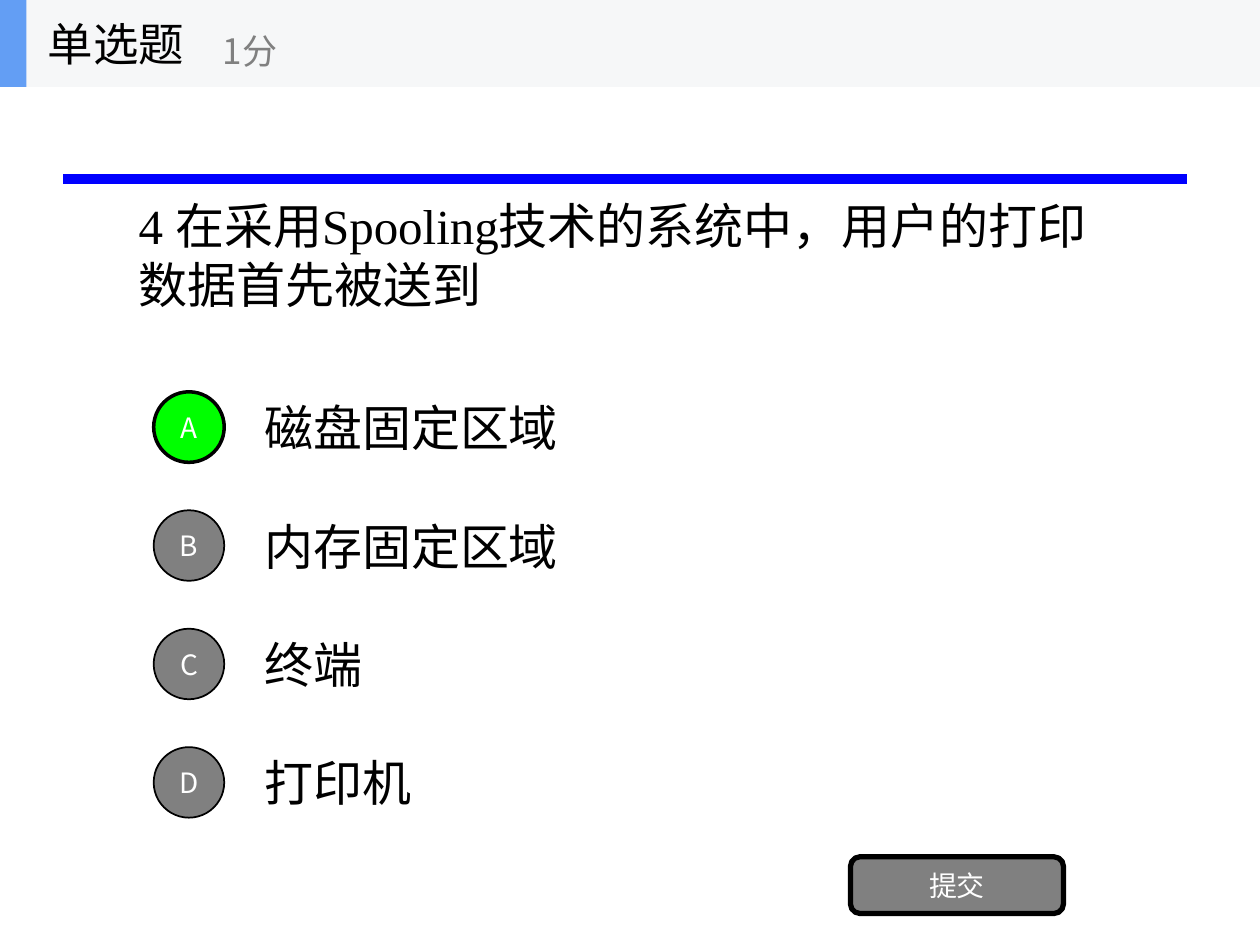
"""Build a single-choice quiz slide with four options and a submit button."""
from lxml.etree import SubElement
from pptx import Presentation
from pptx.dml.color import RGBColor
from pptx.enum.shapes import MSO_CONNECTOR, MSO_SHAPE
from pptx.enum.text import MSO_ANCHOR, MSO_AUTO_SIZE, PP_ALIGN
from pptx.oxml.ns import qn
from pptx.util import Inches, Pt

COLORS = {
    "black": "000000", "white": "FFFFFF", "gray": "808080", "green": "00FF00",
    "blue": "0000FF", "bar": "F6F7F8", "accent": "639EF4",
}
SANS = "Noto Sans CJK SC"
SERIF = "Times New Roman"


def write(shape, text, size, font, color, align=PP_ALIGN.LEFT):
    frame = shape.text_frame
    frame.text = text
    frame.word_wrap = True
    frame.auto_size = MSO_AUTO_SIZE.NONE
    frame.vertical_anchor = MSO_ANCHOR.MIDDLE
    para = frame.paragraphs[0]
    para.alignment = align
    run = para.runs[0]
    run.font.size = Pt(size)
    run.font.name = font
    run.font.color.rgb = RGBColor.from_string(COLORS[color])
    SubElement(run.font._element, qn("a:ea"), typeface=SANS)


def draw(kind, left, top, width, height, fill, line=0):
    shape = slide.shapes.add_shape(
        kind, Inches(left), Inches(top), Inches(width), Inches(height))
    shape.shadow.inherit = False
    shape.fill.solid()
    shape.fill.fore_color.rgb = RGBColor.from_string(COLORS[fill])
    if line:
        shape.line.color.rgb = RGBColor.from_string(COLORS["black"])
        shape.line.width = Pt(line)
    else:
        shape.line.fill.background()
    return shape


prs = Presentation()
prs.slide_width, prs.slide_height = Inches(10), Inches(7.5)
slide = prs.slides.add_slide(prs.slide_layouts[5])

title = slide.shapes.title
title.left, title.top = Inches(1), Inches(0.85)
title.width, title.height = Inches(8), Inches(2.34)
write(title, "4 在采用Spooling技术的系统中，用户的打印数据首先被送到", 28, SERIF, "black")

rule = slide.shapes.add_connector(
    MSO_CONNECTOR.STRAIGHT, Inches(0.5), Inches(1.42), Inches(9.42), Inches(1.42))
rule.line.color.rgb = RGBColor.from_string(COLORS["blue"])
rule.line.width = Pt(6)
SubElement(rule._element.spPr, qn("a:effectLst"))

options = [("A", "磁盘固定区域"), ("B", "内存固定区域"), ("C", "终端"), ("D", "打印机")]
answer = "A"
for row, (letter, text) in enumerate(options):
    top = 3.04 + 0.94 * row
    label = slide.shapes.add_textbox(Inches(2), Inches(top), Inches(7), Inches(0.7))
    write(label, text, 28, SERIF, "black")
    fill, line = ("green", 2) if letter == answer else ("gray", 1)
    badge = draw(MSO_SHAPE.OVAL, 1.22, top + 0.07, 0.56, 0.56, fill, line)
    write(badge, letter, 16, SANS, "white", PP_ALIGN.CENTER)

button = draw(MSO_SHAPE.ROUNDED_RECTANGLE, 6.75, 6.8, 1.69, 0.45, "gray", 3)
write(button, "提交", 16, SANS, "white", PP_ALIGN.CENTER)

draw(MSO_SHAPE.RECTANGLE, 0, 0, 10, 0.69, "bar")
draw(MSO_SHAPE.RECTANGLE, 0, 0, 0.21, 0.69, "accent")
header = slide.shapes.add_textbox(Inches(0.28), 0, Inches(2.08), Inches(0.69))
write(header, "单选题", 26, SANS, "black")
score = slide.shapes.add_textbox(Inches(1.67), Inches(0.12), Inches(2.5), Inches(0.56))
write(score, "1分", 20, SANS, "gray")

prs.save("out.pptx")
